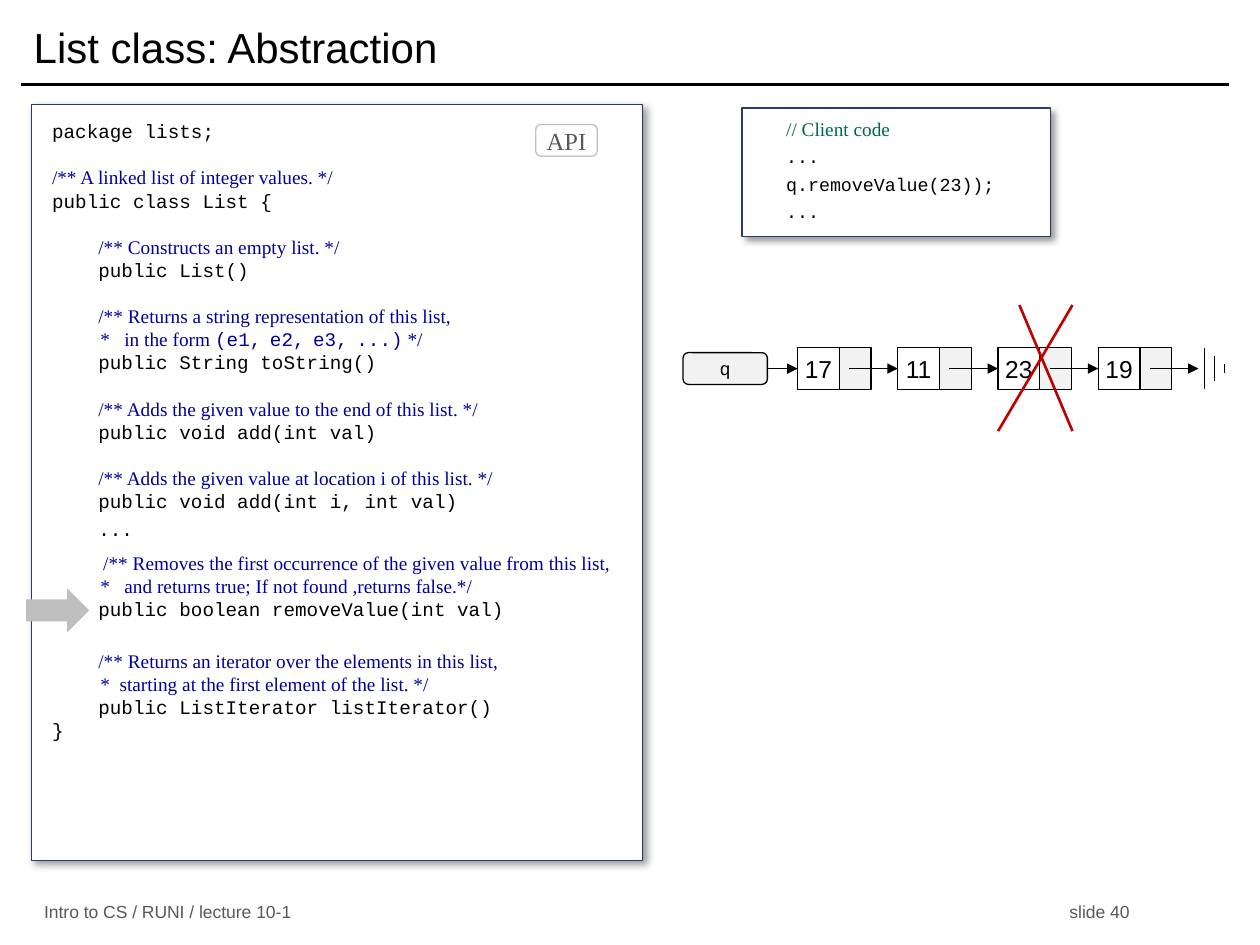
from lxml import etree
from pptx import Presentation
from pptx import util as u
from pptx.dml.color import RGBColor
from pptx.enum import shapes, text
from pptx.oxml import parse_xml
from pptx.oxml.ns import nsdecls, qn

BLACK = RGBColor(0x00, 0x00, 0x00)
WHITE = RGBColor(0xFF, 0xFF, 0xFF)
PALE = RGBColor(0xF2, 0xF2, 0xF2)
GRAY = RGBColor(0xBF, 0xBF, 0xBF)
DARK = RGBColor(0x59, 0x59, 0x59)
NAVY = RGBColor(0x29, 0x39, 0x73)
BLUE = RGBColor(0x00, 0x00, 0x99)
GREEN = RGBColor(0x00, 0x66, 0x4D)
RED = RGBColor(0xC0, 0x00, 0x00)

MONO, SERIF, SANS = "Courier New", "Times New Roman", "Arial"
CODE = (MONO, 11, BLACK)
DOC = (SERIF, 11, BLUE)
SAMPLE = (MONO, 11, BLUE)
THIN = (MONO, 8, BLUE)
CALL = (MONO, 10.5, BLACK)
NUM = (SANS, 14, BLACK)
FOOT = (SANS, 10, DARK)

KIND = shapes.MSO_SHAPE
MID = text.MSO_ANCHOR.MIDDLE
LEFT, CENTER = text.PP_ALIGN.LEFT, text.PP_ALIGN.CENTER
LABEL = {"margin_left": 0, "margin_right": 0, "vertical_anchor": MID}

deck = Presentation()
deck.slide_width, deck.slide_height = u.Cm(25.4), u.Cm(19.05)
slide = deck.slides.add_slide(deck.slide_layouts[6])


def box(kind, at, fill=None, line=None):
    shape = slide.shapes.add_shape(kind, *map(u.Cm, at))
    shape.shadow.inherit = False
    for part, color in ((shape.fill, fill), (shape.line.fill, line)):
        if color is None:
            part.background()
        else:
            part.solid()
            part.fore_color.rgb = color
    if line is not None:
        shape.line.width = u.Pt(0.75)
    return shape


def write(shape, rows, fmt, align=LEFT, pitch=None):
    """Fill a shape with rows of (space before, (words, style), ...)."""
    frame = shape.text_frame
    frame.word_wrap = True
    for key, value in fmt.items():
        setattr(frame, key, value)
    for i, (gap, *runs) in enumerate(rows):
        para = frame.paragraphs[0] if i == 0 else frame.add_paragraph()
        para.alignment = align
        para.space_before = u.Pt(gap)
        if pitch:
            para.line_spacing = u.Pt(pitch)
        for words, (name, size, color) in runs:
            run = para.add_run()
            run.text = words
            for key, value in {"name": name, "size": u.Pt(size)}.items():
                setattr(run.font, key, value)
            run.font.color.rgb = color


# Title and footer
title = slide.shapes.add_textbox(u.Cm(0.43), u.Cm(0.2), u.Cm(24.33), u.Cm(1.47))
write(title, [(0, ("List class: Abstraction", (SANS, 24, BLACK)))],
      {"vertical_anchor": MID})
foot = slide.shapes.add_textbox(u.Cm(0.64), u.Cm(18.14), u.Cm(23.93), u.Cm(0.48))
tabs = etree.SubElement(foot.text_frame.paragraphs[0]._p.get_or_add_pPr(), qn("a:tabLst"))
etree.SubElement(tabs, qn("a:tab"), pos=str(u.Cm(20.67)), algn="l")
write(foot, [(0, ("Intro to CS / RUNI / lecture 10-1\tslide 40", FOOT))],
      {"vertical_anchor": MID})

# Class panel and client panel
LINE = 13.2
PAD = ("    ", CODE)
api = [
    (0, ("package lists;", CODE)),
    (LINE, ("/** A linked list of integer values. */", DOC)),
    (0, ("public class List {", CODE)),
    (LINE, PAD, ("/** Constructs an empty list. */", DOC)),
    (0, ("    public List()", CODE)),
    (LINE, PAD, ("/** Returns a string representation of this list,", DOC)),
    (0, ("          *   in the form ", DOC), ("(e1,", SAMPLE), (" ", THIN),
     ("e2,", SAMPLE), (" ", THIN), ("e3,", SAMPLE), (" ", THIN),
     ("...)", SAMPLE), (" */", DOC)),
    (0, ("    public String toString()", CODE)),
    (LINE, PAD, ("/** Adds the given value to the end of this list. */", DOC)),
    (0, ("    public void add(int val)", CODE)),
    (LINE, PAD, ("/** Adds the given value at location i of this list. */", DOC)),
    (0, ("    public void add(int i, int val)", CODE)),
    (3, ("    ...", CODE)),
    (6, PAD, (" /** Removes the first occurrence of the given value from this list,", DOC)),
    (0, ("          *   and returns true; If not found ,returns false.*/", DOC)),
    (0, ("    public boolean removeValue(int val)", CODE)),
    (LINE + 3, PAD, ("/** Returns an iterator over the elements in this list,", DOC)),
    (0, ("          *  starting at the first element of the list. */", DOC)),
    (0, ("    public ListIterator listIterator()", CODE)),
    (0, ("}", CODE)),
]
client = [
    (0, ("// Client code", (SERIF, 11, GREEN))),
    (3, ("...", CALL)),
    (3, ("q.removeValue(23));", CALL)),
    (3, ("...", CALL)),
]
for at, rows, left, top, pitch in (
    ((0.64, 2.11, 12.32, 15.24), api, 0.41, 0.3, LINE),
    ((14.96, 2.18, 6.22, 2.59), client, 0.89, 0.2, 12.6),
):
    panel = box(KIND.RECTANGLE, at, WHITE, NAVY)
    glow = panel._element.spPr.find(qn("a:effectLst"))
    glow.append(parse_xml(
        f'<a:outerShdw {nsdecls("a")} blurRad="{u.Pt(4)}" dist="{u.Pt(3)}" '
        'dir="2700000" algn="tl" rotWithShape="0"><a:srgbClr val="000000">'
        '<a:alpha val="40000"/></a:srgbClr></a:outerShdw>'))
    write(panel, rows, {"margin_left": u.Cm(left), "margin_top": u.Cm(top),
                        "margin_right": 0, "margin_bottom": 0,
                        "vertical_anchor": text.MSO_ANCHOR.TOP}, pitch=pitch)

badge = box(KIND.ROUNDED_RECTANGLE, (10.8, 2.51, 1.24, 0.64), WHITE, GRAY)
write(badge, [(0, ("API", (SERIF, 14, DARK)))], LABEL, CENTER)
box(KIND.RIGHT_ARROW, (0.53, 11.86, 1.27, 0.89), GRAY)

# Linked list
AXIS, FIRST, STEP, TALL = 7.43, 16.08, 2.02, 0.86
head = box(KIND.ROUNDED_RECTANGLE, (13.77, AXIS - 0.32, 1.7, 0.64), PALE, BLACK)
write(head, [(0, ("q", CALL))], LABEL, CENTER)
nodes = []
for i, value in enumerate(("17", "11", "23", "19")):
    x = FIRST + i * STEP
    node = box(KIND.RECTANGLE, (x, AXIS - TALL / 2, 0.84, TALL), None, BLACK)
    write(node, [(0, (value, NUM))], LABEL, CENTER)
    box(KIND.RECTANGLE, (x + 0.84, AXIS - TALL / 2, 0.64, TALL), PALE, BLACK)
    nodes.append(node)

# Strokes: ends, colour, width, arrowhead, shape at start, shape at end
strokes = [((0.43, 1.7, 24.77, 1.7), BLACK, 2, False, None, None),
           ((15.47, AXIS, FIRST, AXIS), BLACK, 0.75, True, head, nodes[0])]
for i, goal in enumerate(nodes[1:] + [None]):
    x = FIRST + i * STEP
    strokes.append(((x + 1.04, AXIS, x + STEP, AXIS), BLACK, 0.75, True, None, goal))
for x, half in ((24.28, 0.42), (24.48, 0.25), (24.69, 0.09)):
    strokes.append(((x, AXIS - half, x, AXIS + half), BLACK, 0.75, False, None, None))
for ends in ((20.12, 8.69, 21.62, 6.15), (21.62, 8.69, 20.55, 6.15)):
    strokes.append((ends, RED, 1.5, False, None, None))

for ends, color, width, tip, start, goal in strokes:
    link = slide.shapes.add_connector(shapes.MSO_CONNECTOR.STRAIGHT, *map(u.Cm, ends))
    link.line.color.rgb = color
    link.line.width = u.Pt(width)
    if tip:
        etree.SubElement(link.line._get_or_add_ln(), qn("a:tailEnd"), type="triangle")
    etree.SubElement(link._element.spPr, qn("a:effectLst"))
    if start is not None:
        link.begin_connect(start, 3)
    if goal is not None:
        link.end_connect(goal, 1)

deck.save("out.pptx")
